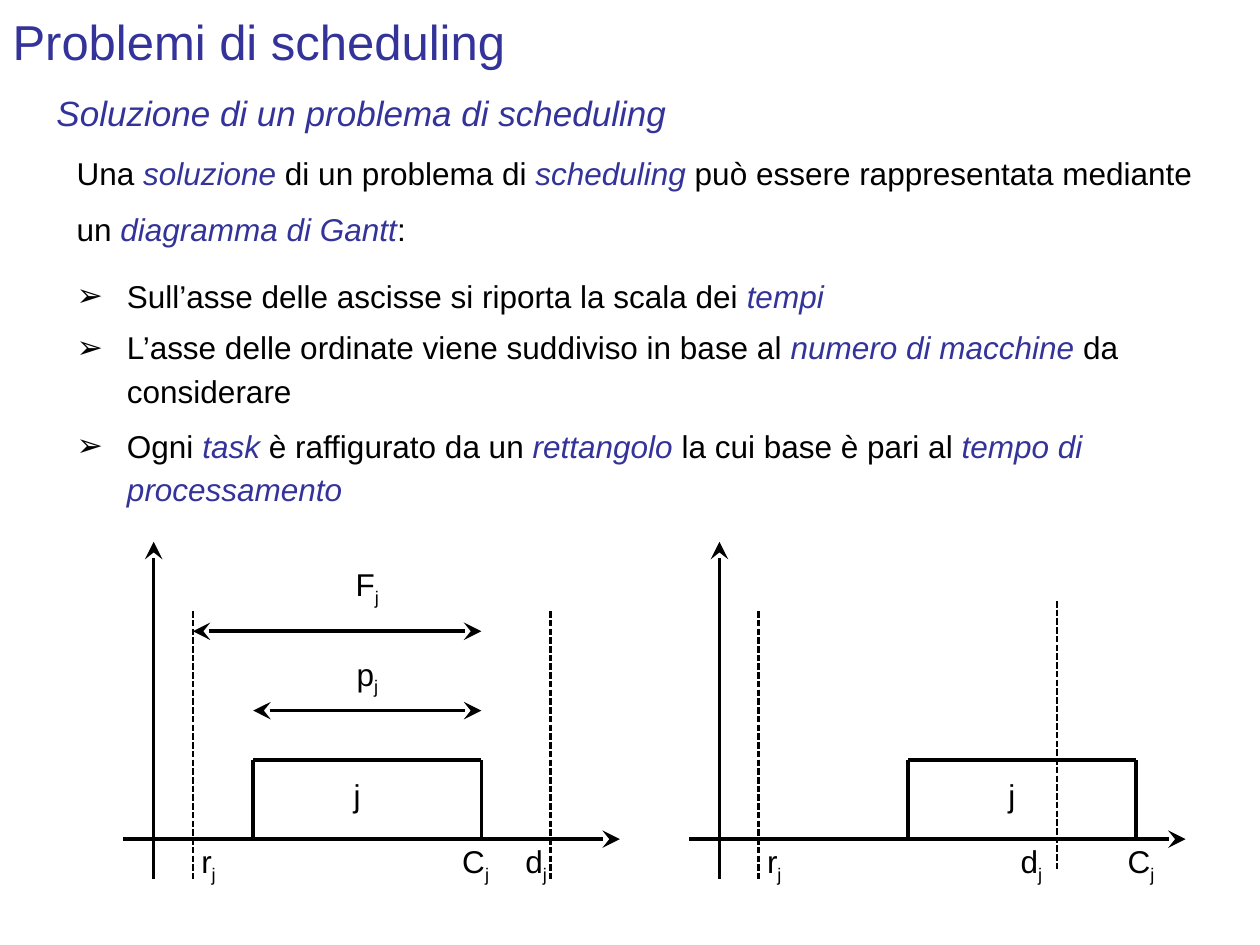
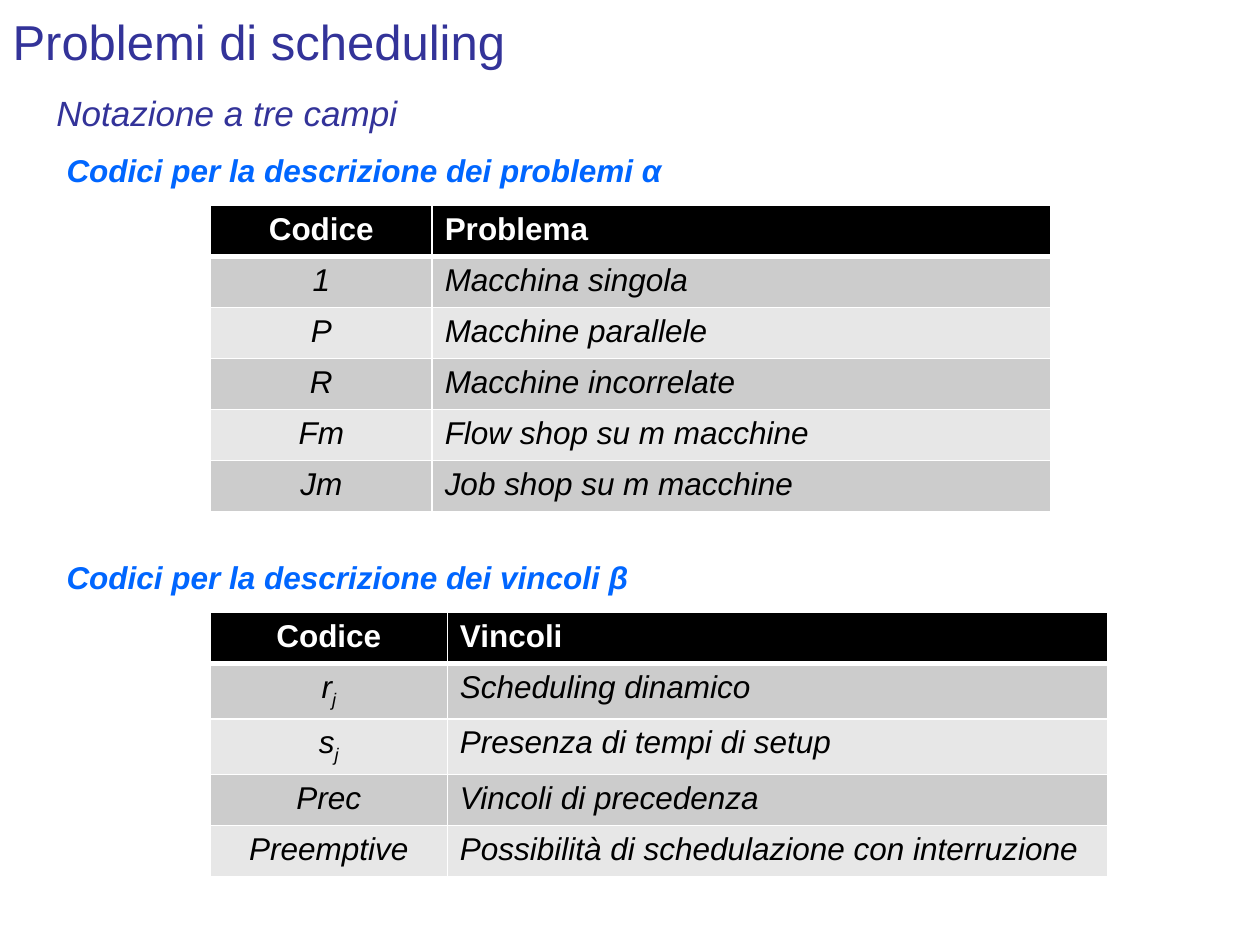
import lxml.etree
import pptx
import pptx.dml.color
import pptx.enum.dml
import pptx.enum.shapes
import pptx.enum.text
import pptx.oxml.ns
import pptx.util

RGBColor = pptx.dml.color.RGBColor
BLACK = RGBColor(0x00, 0x00, 0x00)
WHITE = RGBColor(0xFF, 0xFF, 0xFF)
INDIGO = RGBColor(0x33, 0x33, 0x99)
BLUE = RGBColor(0x00, 0x66, 0xFF)
DARK_BAND = RGBColor(0xCC, 0xCC, 0xCC)
LIGHT_BAND = RGBColor(0xE7, 0xE7, 0xE7)

ALIGN = pptx.enum.text.PP_ALIGN
ANCHOR = pptx.enum.text.MSO_ANCHOR
DASH = pptx.enum.dml.MSO_LINE.SQUARE_DOT
Pt = pptx.util.Pt

GRID_COLUMNS, GRID_ROWS = 100, 75
LABEL_WIDTH, LABEL_HEIGHT = 5.5, 3.9


def add_xml(parent, tag, **attributes):
    return lxml.etree.SubElement(parent, pptx.oxml.ns.qn(tag), attributes)


class Deck:
    """Holds the style and the current slide; lengths are grid columns and rows."""

    font = "Arial"
    body_size = 18

    def __init__(self):
        self.presentation = pptx.Presentation()
        self.presentation.slide_width = pptx.util.Inches(10)
        self.presentation.slide_height = pptx.util.Inches(7.5)
        self.slide = None

    def x(self, columns):
        return round(self.presentation.slide_width * columns / GRID_COLUMNS)

    def y(self, rows):
        return round(self.presentation.slide_height * rows / GRID_ROWS)

    def box(self, left, top, width, height):
        return self.x(left), self.y(top), self.x(width), self.y(height)

    def add_slide(self, title, subtitle):
        self.slide = self.presentation.slides.add_slide(
            self.presentation.slide_layouts[5])
        shape = self.slide.shapes.title
        shape.left, shape.top, shape.width, shape.height = self.box(0, -0.3, 90, 7.1)
        shape.text_frame.auto_size = pptx.enum.text.MSO_AUTO_SIZE.NONE
        shape.text_frame.vertical_anchor = ANCHOR.MIDDLE
        self.style_text(shape.text_frame, title, size=28, color=INDIGO)
        paragraph = self.text(subtitle, 3.5, 6.8, 91.4, 4.7,
                              size=20, color=INDIGO, italic=True)
        paragraph.space_before = Pt(2)

    def style_text(self, text_frame, text, size=body_size, color=BLACK, bold=False,
                   italic=False, align=ALIGN.LEFT):
        """Fill the first paragraph: *emphasis* is indigo italic, _ starts a subscript."""
        paragraph = text_frame.paragraphs[0]
        paragraph.alignment = align
        for index, part in enumerate(text.split("*")):
            emphasis = index % 2 == 1
            for level, piece in enumerate(part.split("_")):
                if not piece:
                    continue
                run = paragraph.add_run()
                run.text = piece
                run.font.name = self.font
                run.font.size = Pt(size)
                run.font.bold = bold
                run.font.italic = italic or emphasis
                run.font.color.rgb = INDIGO if emphasis else color
                if level:
                    run._r.get_or_add_rPr().set("baseline", "-25000")
        return paragraph

    def text(self, text, left, top, width, height, anchor=ANCHOR.TOP, **style):
        shape = self.slide.shapes.add_textbox(*self.box(left, top, width, height))
        shape.text_frame.word_wrap = True
        shape.text_frame.vertical_anchor = anchor
        return self.style_text(shape.text_frame, text, **style)

    def bullet(self, text, top, height, line_spacing):
        paragraph = self.text(text, 5.1, top, 91.3, height)
        paragraph.line_spacing = line_spacing
        properties = paragraph._p.get_or_add_pPr()
        indent = self.x(4)
        properties.set("marL", str(indent))
        properties.set("indent", str(-indent))
        add_xml(properties, "a:buFont", typeface=self.font)
        add_xml(properties, "a:buChar", char="➢")

    def label(self, text, left, top):
        self.text(text, left, top, LABEL_WIDTH, LABEL_HEIGHT,
                  anchor=ANCHOR.MIDDLE, align=ALIGN.CENTER)

    def task_name(self, text, left, top):
        shape = self.slide.shapes.add_shape(
            pptx.enum.shapes.MSO_SHAPE.RECTANGLE,
            *self.box(left, top, LABEL_WIDTH, LABEL_HEIGHT))
        shape.shadow.inherit = False
        shape.fill.solid()
        shape.fill.fore_color.rgb = WHITE
        shape.line.fill.background()
        shape.text_frame.vertical_anchor = ANCHOR.MIDDLE
        self.style_text(shape.text_frame, text, align=ALIGN.CENTER)

    def line(self, start, end, arrows=(), width=2, dash=None):
        """Draw a line; arrows may name headEnd (start) and tailEnd (end)."""
        connector = self.slide.shapes.add_connector(
            pptx.enum.shapes.MSO_CONNECTOR.STRAIGHT,
            self.x(start[0]), self.y(start[1]), self.x(end[0]), self.y(end[1]))
        connector.line.color.rgb = BLACK
        connector.line.width = Pt(width)
        if dash:
            connector.line.dash_style = dash
        for arrow in arrows:
            add_xml(connector.line._get_or_add_ln(), "a:" + arrow,
                    type="stealth", w="lg", len="lg")
        add_xml(connector._element.spPr, "a:effectLst")

    def double_arrow(self, left, right, row):
        self.line((left, row), (right, row), arrows=("headEnd", "tailEnd"))

    def table(self, rows, top, widths, left=16.7, row_height=4.05):
        frame = self.slide.shapes.add_table(
            len(rows), len(widths),
            *self.box(left, top, sum(widths), row_height * len(rows)))
        for column, width in zip(frame.table.columns, widths):
            column.width = self.x(width)
        for row_index, row in enumerate(rows):
            header = row_index == 0
            band = DARK_BAND if row_index % 2 else LIGHT_BAND
            for column_index, text in enumerate(row):
                cell = frame.table.cell(row_index, column_index)
                self.borders(cell, top=3 if row_index == 1 else 1,
                             bottom=3 if header else 1)
                cell.fill.solid()
                cell.fill.fore_color.rgb = BLACK if header else band
                self.style_text(cell.text_frame, text, bold=header, italic=not header,
                                color=WHITE if header else BLACK,
                                align=ALIGN.LEFT if column_index else ALIGN.CENTER)

    def borders(self, cell, top, bottom):
        properties = cell._tc.get_or_add_tcPr()
        for side, width in (("L", 1), ("R", 1), ("T", top), ("B", bottom)):
            border = add_xml(properties, "a:ln" + side, w=str(Pt(width)))
            add_xml(add_xml(border, "a:solidFill"), "a:srgbClr", val=str(WHITE))

    def gantt(self, origin, task_start, due, due_top, due_label, end_label):
        """Draw axes, one task, its release date and its due date."""
        base, task_top, label_top = 66.6, 60.3, 66.6
        task_end = task_start + 18.1
        release = origin + 3.1
        self.line((origin, 43), (origin, 69.8), arrows=("headEnd",))
        self.line((origin + 37, base), (origin - 2.4, base), arrows=("headEnd",))
        for side in (task_start, task_end):
            self.line((side, base), (side, task_top))
        self.line((task_start, task_top), (task_end, task_top))
        self.task_name("j", task_start + 5.5, 61.1)
        for date, top in ((release, 48.5), (due, due_top)):
            self.line((date, top), (date, top + 21.3), width=1.25, dash=DASH)
        self.label("r_j", release - 1.5, label_top)
        self.label("d_j", due_label, label_top)
        self.label("C_j", end_label, label_top)
        return release, task_end


def build_solution_slide(deck):
    deck.add_slide("Problemi di scheduling", "Soluzione di un problema di scheduling")
    paragraph = deck.text(
        "Una *soluzione* di un problema di *scheduling* può essere rappresentata "
        "mediante un *diagramma di Gantt*:", 5.1, 10.2, 92.1, 10.1)
    paragraph.line_spacing = 1.5
    deck.bullet("Sull’asse delle ascisse si riporta la scala dei *tempi*", 20, 5.6, 1.5)
    deck.bullet("L’asse delle ordinate viene suddiviso in base al "
                "*numero di macchine *da considerare", 25.1, 7.7, Pt(25))
    deck.bullet("Ogni *task* è raffigurato da un *rettangolo *la cui base è pari al "
                "*tempo di processamento*", 32.9, 8, Pt(25))

    task_start = 20.1
    release, task_end = deck.gantt(origin=12.2, task_start=task_start, due=43.7,
                                   due_top=48.5, due_label=39.8, end_label=35)
    for name, start, row, label_top in (("F_j", release, 50.1, 44.6),
                                        ("p_j", task_start, 56.4, 51.7)):
        deck.double_arrow(start, task_end, row)
        deck.label(name, 26.4, label_top)
    deck.gantt(origin=57.1, task_start=72.05, due=83.9, due_top=47.7,
               due_label=79.1, end_label=87.8)


def build_notation_slide(deck):
    deck.add_slide("Problemi di scheduling", "Notazione a tre campi")
    problems = [("Codice", "Problema"),
                ("1", "Macchina singola"),
                ("P", "Macchine parallele"),
                ("R", "Macchine incorrelate"),
                ("Fm", "Flow shop su m macchine"),
                ("Jm", "Job shop su m macchine")]
    constraints = [("Codice", "Vincoli"),
                   ("r_j", "Scheduling dinamico"),
                   ("s_j", "Presenza di tempi di setup"),
                   ("Prec", "Vincoli di precedenza"),
                   ("Preemptive", "Possibilità di schedulazione con interruzione")]
    for heading, rows, top, widths in (
            ("problemi α", problems, 11.5, (17.6, 49.1)),
            ("vincoli β", constraints, 43.8, (18.8, 52.4))):
        deck.text("Codici per la descrizione dei " + heading, 4.3, top, 93.7, 4,
                  color=BLUE, bold=True, italic=True)
        deck.table(rows, top + 4.8, widths)


def main():
    deck = Deck()
    build_solution_slide(deck)
    build_notation_slide(deck)
    deck.presentation.save("out.pptx")


if __name__ == "__main__":
    main()
